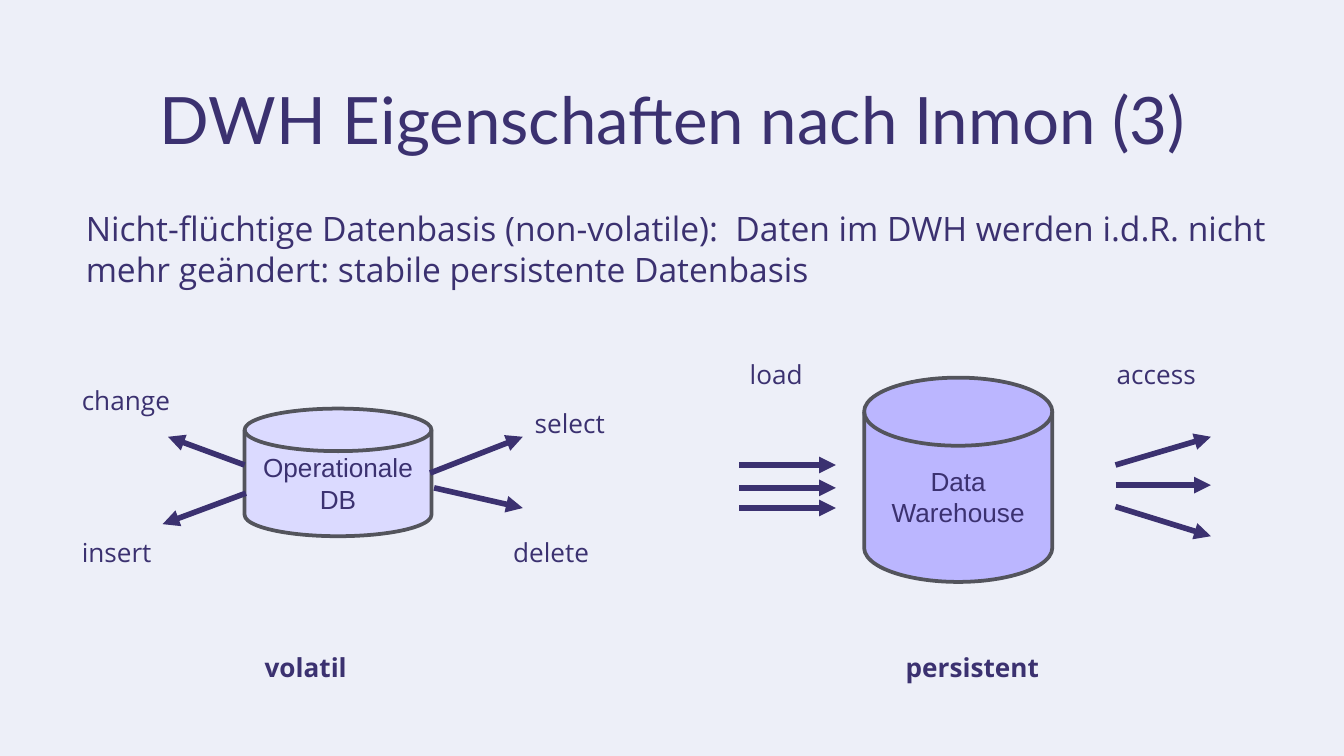
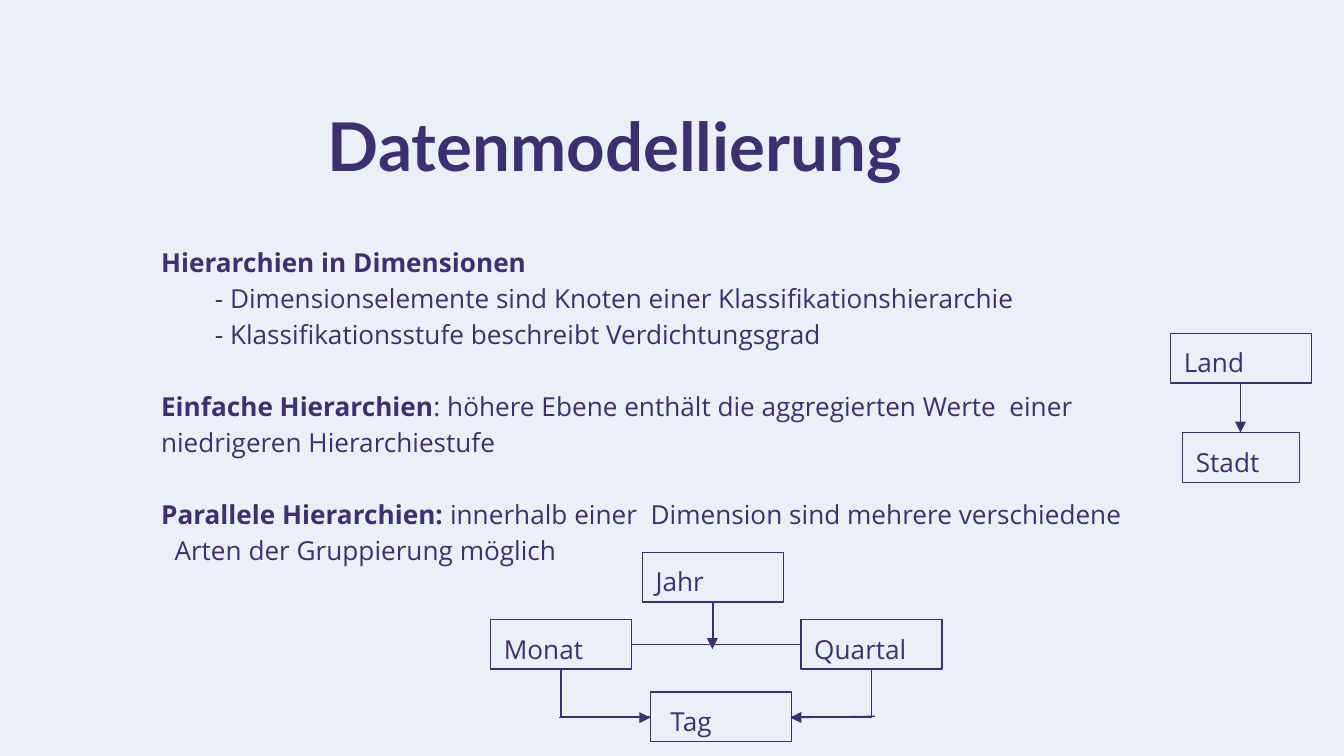
from lxml import etree
from pptx import Presentation
from pptx import util as u
from pptx.dml.color import RGBColor
from pptx.enum import shapes, text
from pptx.oxml.ns import qn

INK = RGBColor(0x3B, 0x31, 0x70)
PAPER = RGBColor(0xED, 0xEF, 0xF8)
OUTLINE = RGBColor(0x53, 0x54, 0x5C)
LILAC = RGBColor(0xDB, 0xDA, 0xFF)
VIOLET = RGBColor(0xBB, 0xB6, 0xFF)
COLUMNS, ROWS = 100, 56.25
WIDTH, HEIGHT = u.Inches(10), u.Inches(5.625)
TOP, MIDDLE, BOTTOM = (
    text.MSO_ANCHOR.TOP, text.MSO_ANCHOR.MIDDLE, text.MSO_ANCHOR.BOTTOM)
LEFT, CENTER = text.PP_ALIGN.LEFT, text.PP_ALIGN.CENTER
LEFT_SIDE, BOTTOM_SIDE, RIGHT_SIDE = 1, 2, 3


def across(columns):
    return round(WIDTH * columns / COLUMNS)


def down(rows):
    return round(HEIGHT * rows / ROWS)


def write(frame, *lines, lead="", size=14, font="Open Sans", bold=False,
          align=LEFT, indent=0, before=0, spacing=None):
    for line in lines:
        paragraph = frame.paragraphs[0] if not frame.text else frame.add_paragraph()
        paragraph.alignment = align
        paragraph.space_before = u.Pt(before)
        if spacing:
            paragraph.line_spacing = spacing
        if indent:
            properties = paragraph._p.get_or_add_pPr()
            properties.set("marL", str(across(indent)))
            properties.set("indent", "0")
        for words, heavy in ((lead, True), (line, bold)):
            if words:
                run = paragraph.add_run()
                run.text = words
                run.font.name = font
                run.font.size = u.Pt(size)
                run.font.bold = heavy
                run.font.color.rgb = INK


class Deck:
    def __init__(self):
        self.presentation = Presentation()
        self.presentation.slide_width = WIDTH
        self.presentation.slide_height = HEIGHT
        fill = self.presentation.slide_master.background.fill
        fill.solid()
        fill.fore_color.rgb = PAPER
        self.slide = None

    def frame(self, shape, pad, anchor):
        frame = shape.text_frame
        frame.word_wrap = True
        frame.auto_size = text.MSO_AUTO_SIZE.NONE
        frame.vertical_anchor = anchor
        frame.margin_left = frame.margin_right = across(1)
        frame.margin_top = frame.margin_bottom = down(pad)
        return frame

    def start(self, title, x, y, w, h, anchor=TOP, **style):
        layout = self.presentation.slide_layouts[5]
        self.slide = self.presentation.slides.add_slide(layout)
        heading = self.slide.shapes.title
        heading.left, heading.top = across(x), down(y)
        heading.width, heading.height = across(w), down(h)
        write(self.frame(heading, 1, anchor), title, font="Lato", **style)

    def body(self, x, y, w, h, anchor=TOP):
        area = self.slide.shapes.add_textbox(across(x), down(y), across(w), down(h))
        return self.frame(area, 1, anchor)

    def label(self, words, x, y, w=10.1, **style):
        area = self.slide.shapes.add_textbox(across(x), down(y), across(w), down(3.4))
        frame = self.frame(area, 0.5, TOP)
        frame.auto_size = text.MSO_AUTO_SIZE.SHAPE_TO_FIT_TEXT
        write(frame, words, **style)

    def shape(self, kind, x, y, w, h, line, weight):
        shape = self.slide.shapes.add_shape(kind, across(x), down(y), across(w), down(h))
        shape.shadow.inherit = False
        shape.fill.background()
        shape.line.color.rgb = line
        shape.line.width = u.Pt(weight)
        return shape

    def database(self, lines, x, y, w, h, color):
        disk = self.shape(shapes.MSO_SHAPE.FLOWCHART_MAGNETIC_DISK,
                          x, y, w, h, OUTLINE, 2)
        disk.fill.solid()
        disk.fill.fore_color.rgb = color
        write(self.frame(disk, 0.5, MIDDLE), *lines, font="Arial", align=CENTER)

    def level(self, name, x, y, w=10.5, indent=0):
        box = self.shape(shapes.MSO_SHAPE.RECTANGLE, x, y, w, 3.7, INK, 0.75)
        write(self.frame(box, 1, TOP), name, indent=indent)
        return box

    def connector(self, kind, start, end, weight):
        line = self.slide.shapes.add_connector(
            kind, across(start[0]), down(start[1]), across(end[0]), down(end[1]))
        line.line.color.rgb = INK
        line.line.width = u.Pt(weight)
        etree.SubElement(line._element.spPr, qn("a:effectLst"))
        return line

    def arrow(self, start, end, weight=3):
        line = self.connector(shapes.MSO_CONNECTOR.STRAIGHT, start, end, weight)
        outline = line._element.spPr.find(qn("a:ln"))
        etree.SubElement(outline, qn("a:tailEnd")).set("type", "triangle")

    def corner(self, side_box, side, base_box):
        line = self.connector(shapes.MSO_CONNECTOR.ELBOW, (0, 0), (1, 1), 0.75)
        line._element.spPr.find(qn("a:prstGeom")).set("prst", "bentConnector2")
        line.begin_connect(side_box, side)
        line.end_connect(base_box, BOTTOM_SIDE)


def properties_slide(deck):
    deck.start("DWH Eigenschaften nach Inmon (3)", 7.9, 4.9, 84.3, 6.3,
               size=35, align=CENTER)
    write(deck.body(5.4, 15, 92.6, 7.5, BOTTOM),
          "Nicht-flüchtige Datenbasis (non-volatile):  Daten im DWH werden "
          "i.d.R. nicht mehr geändert: stabile persistente Datenbasis", size=18)

    deck.database(["Data", "Warehouse"], 64.3, 28.1, 14, 15.2, VIOLET)
    deck.database(["Operationale", "DB"], 18.2, 30.4, 13.9, 9.5, LILAC)

    for start, end in [((32, 35.2), (38.9, 32.5)), ((32.3, 36.3), (38.9, 37.8)),
                       ((18.2, 34.6), (12.5, 32.5)), ((18.3, 36.7), (12.1, 39))]:
        deck.arrow(start, end)
    for y in (34.6, 36.3, 37.8):
        deck.arrow((55, y), (62.2, y))
    for y, target in ((34.6, 32.5), (36.1, 36.1), (37.7, 39.9)):
        deck.arrow((83, y), (90.1, target))

    for words, x, y in [("change", 5.1, 28.1), ("insert", 5.1, 39.4),
                        ("select", 38.8, 29.8), ("delete", 37.2, 39.4),
                        ("load", 54.8, 26.2), ("access", 82.1, 26.2)]:
        deck.label(words, x, y)
    for words, x in (("volatil", 18.7), ("persistent", 66.4)):
        deck.label(words, x, 48, 15.5, bold=True)


def modelling_slide(deck):
    deck.start("Datenmodellierung", 1.4, 9.6, 87, 5.2, BOTTOM,
               size=36, bold=True, indent=22, spacing=1.15)

    hierarchies = deck.body(11, 17, 78.1, 29.2)
    write(hierarchies, "Hierarchien in Dimensionen", bold=True, spacing=1.15)
    write(hierarchies,
          "- Dimensionselemente sind Knoten einer Klassifikationshierarchie",
          "- Klassifikationsstufe beschreibt Verdichtungsgrad",
          indent=4, spacing=1.15)
    write(hierarchies,
          ": höhere Ebene enthält die aggregierten Werte  einer "
          "niedrigeren Hierarchiestufe",
          lead="Einfache Hierarchien", before=19.3, spacing=1.15)
    write(hierarchies,
          " innerhalb einer  Dimension sind mehrere verschiedene",
          lead="Parallele Hierarchien:", before=19.3, spacing=1.15)
    write(hierarchies, "Arten der Gruppierung möglich", indent=1, spacing=1.15)

    deck.level("Land", 87.1, 24.8)
    deck.level("Stadt", 88, 32.2, 8.7)
    deck.arrow((92.3, 28.5), (92.3, 32.2), 0.75)

    year = deck.level("Jahr", 47.8, 41.1)
    quarter = deck.level("Quartal", 59.6, 46.1)
    month = deck.level("Monat", 36.5, 46.1)
    day = deck.level("Tag", 48.4, 51.5, indent=0.5)

    deck.corner(month, RIGHT_SIDE, year)
    deck.corner(quarter, LEFT_SIDE, year)
    deck.corner(day, LEFT_SIDE, month)
    deck.corner(day, RIGHT_SIDE, quarter)
    for start, end in [((41.6, 53.4), (48.4, 53.4)), ((65.1, 53.3), (58.8, 53.4)),
                       ((53, 44.8), (53, 48.3))]:
        deck.arrow(start, end, 0.75)


def main():
    deck = Deck()
    properties_slide(deck)
    modelling_slide(deck)
    deck.presentation.save("out.pptx")


if __name__ == "__main__":
    main()
